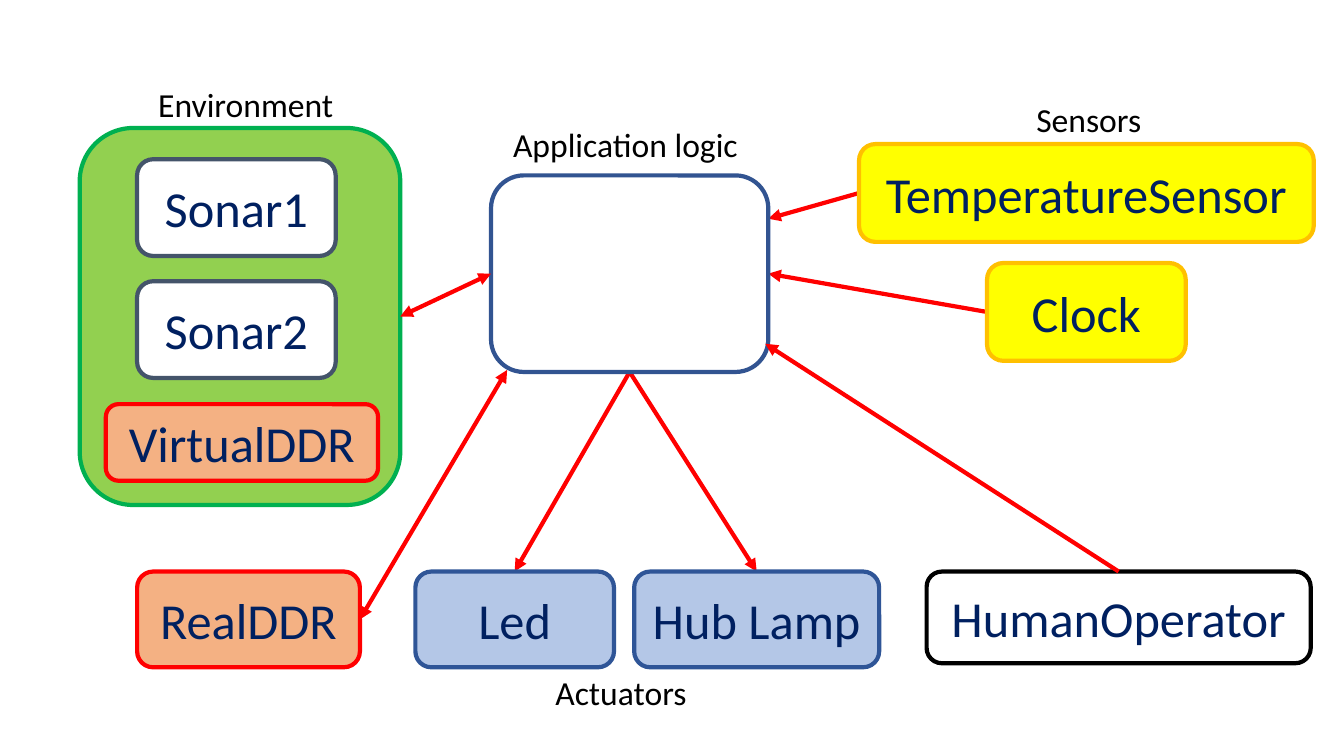
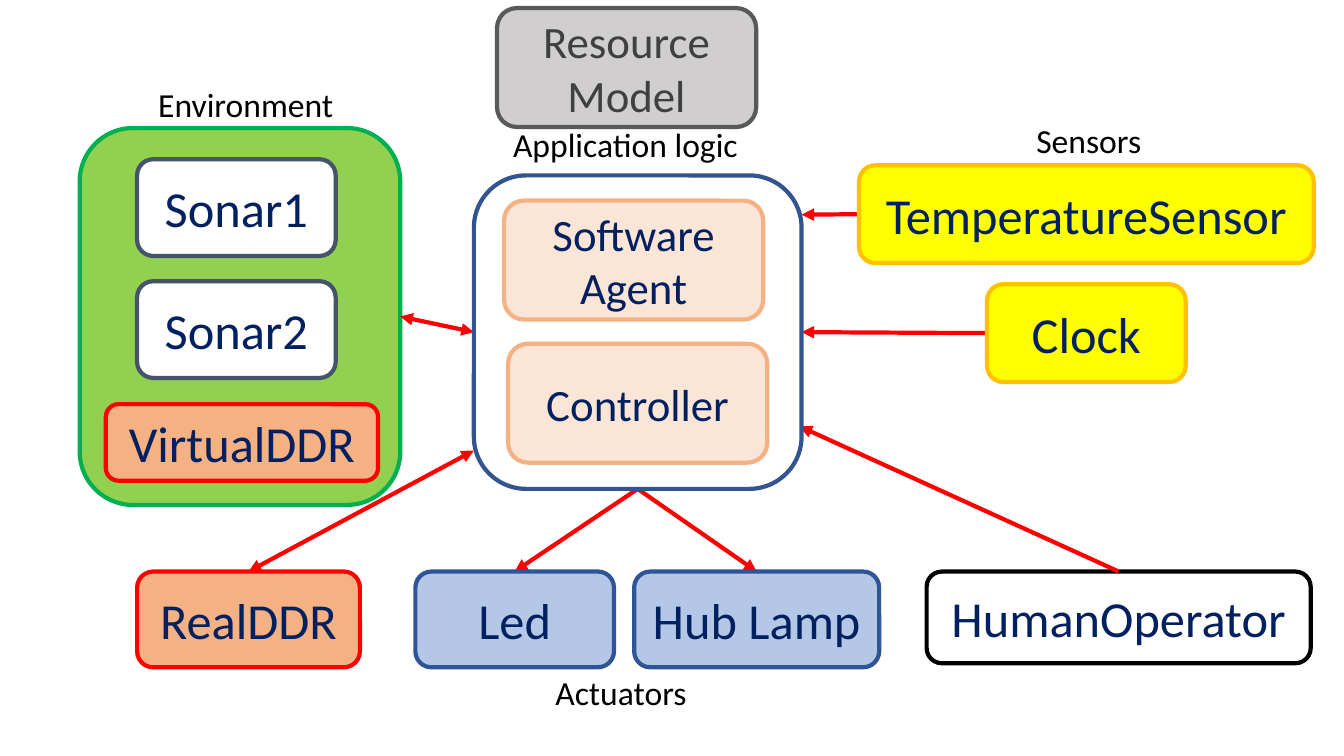
from dataclasses import dataclass

from lxml.etree import SubElement
from pptx import Presentation
from pptx.dml.color import RGBColor as Rgb
from pptx.enum.shapes import MSO_CONNECTOR as Connector, MSO_SHAPE as Preset
from pptx.enum.text import MSO_ANCHOR as Anchor, PP_ALIGN as Align
from pptx.oxml.ns import qn
from pptx.util import Inches, Pt


@dataclass(frozen=True)
class Theme:
    font: str = "Calibri"
    label_size: int = 24
    module_size: int = 32
    node_size: int = 36
    stroke: int = 3
    ink: str = "002060"
    label: str = "000000"
    arrow: str = "FF0000"
    # Each box style is fill, outline
    environment: tuple = ("92D050", "00B050")
    sonar: tuple = ("FFFFFF", "44546A")
    robot: tuple = ("F4B183", "FF0000")
    logic: tuple = ("FFFFFF", "325491")
    sensor: tuple = ("FFFF00", "FFC000")
    actuator: tuple = ("B4C7E7", "2F5597")
    operator: tuple = ("FFFFFF", "000000")
    software: tuple = ("FBE5D6", "F4B183")
    model: tuple = ("D0CECE", "595959")
    model_ink: str = "404040"


theme = Theme()
CELL = Inches(0.1)  # side of one square of the layout grid
TOP, LEFT, BOTTOM, RIGHT = range(4)  # connection sites of a box


def add_text(page, text, at, style=None, size=theme.node_size, color=theme.ink):
    """Add a rounded box if a style is given, else a plain label; at is in grid cells."""
    place = [round(cells * CELL) for cells in at]
    if style:
        box = page.shapes.add_shape(Preset.ROUNDED_RECTANGLE, *place)
        fill, outline = style
        box.shadow.inherit = False
        box.fill.solid()
        box.fill.fore_color.rgb = Rgb.from_string(fill)
        box.line.color.rgb = Rgb.from_string(outline)
        box.line.width = Pt(theme.stroke)
    else:
        box = page.shapes.add_textbox(*place)
    frame = box.text_frame
    frame.word_wrap = True
    frame.vertical_anchor = Anchor.MIDDLE if style else Anchor.TOP
    para = frame.paragraphs[0]
    para.alignment = Align.CENTER if style else Align.LEFT
    if text:
        span = para.add_run()
        span.text = text
        span.font.name = theme.font
        span.font.size = Pt(size)
        span.font.color.rgb = Rgb.from_string(color)
    return box


def add_arrow(page, boxes, start, end, both=False, below=None):
    """Join two ends, each a (box name, site) or a (column, row), optionally below a box."""
    arrow = page.shapes.add_connector(Connector.STRAIGHT, 0, 0, 0, 0)
    if start[0] in boxes:
        arrow.begin_connect(boxes[start[0]], start[1])
    else:
        arrow.begin_x, arrow.begin_y = [round(cells * CELL) for cells in start]
    if end[0] in boxes:
        arrow.end_connect(boxes[end[0]], end[1])
    else:
        arrow.end_x, arrow.end_y = [round(cells * CELL) for cells in end]
    arrow.line.color.rgb = Rgb.from_string(theme.arrow)
    arrow.line.width = Pt(theme.stroke)
    properties = arrow._element.spPr
    outline = properties.get_or_add_ln()
    if both:
        SubElement(outline, qn("a:headEnd"), type="triangle")
    SubElement(outline, qn("a:tailEnd"), type="triangle")
    SubElement(properties, qn("a:effectLst"))
    if below is not None:
        below._element.addprevious(arrow._element)


deck = Presentation()
deck.slide_width, deck.slide_height = Inches(13.33), Inches(7.5)
blank = deck.slide_layouts[6]

NODE_ROW, NODE_HEIGHT = 56.7, 9.5
SENSOR_HEIGHT, SENSOR_STEP = 9.7, 11.8
SONAR_ROW, SONAR_STEP = 15.8, 12.1

# Arrows are start, end, both heads, below the logic box
views = [
    dict(
        logic=(48.7, 17.4, 27.5, 19.5),
        sensor_row=14.3,
        modules=[],
        arrows=[
            (("TemperatureSensor", LEFT), (76.2, 21.7), False, True),
            (("HumanOperator", TOP), (75.9, 34.1), False, False),
            ((50.3, 36.7), ("RealDDR", RIGHT), True, False),
        ],
        arrows_below=False,
    ),
    dict(
        logic=(47, 17.4, 32.5, 31.1),
        sensor_row=16.4,
        modules=[
            ("Controller", (50.4, 34.1), theme.software, theme.ink),
            ("Software Agent", (50, 19.9), theme.software, theme.ink),
            ("Resource Model", (49.3, 0.8), theme.model, theme.model_ink),
        ],
        arrows=[
            (("TemperatureSensor", LEFT), (79.5, 21.3), False, True),
            (("HumanOperator", TOP), (79.3, 42.3), False, True),
            ((47, 44.7), ("RealDDR", TOP), True, True),
        ],
        arrows_below=True,
    ),
]

for view in views:
    page = deck.slides.add_slide(blank)
    sensor_row = view["sensor_row"]
    boxes = {"environment": add_text(page, "", (7.9, 12.7, 31.8, 37.4), theme.environment)}

    for index in range(2):
        row = SONAR_ROW + index * SONAR_STEP
        add_text(page, f"Sonar{index + 1}", (13.6, row, 19.7, 9.6), theme.sonar)

    nodes = [
        ("VirtualDDR", (10.5, 40.1, 27, 7.6), theme.robot),
        ("RealDDR", (13.6, NODE_ROW, 22.1, NODE_HEIGHT), theme.robot),
        ("HumanOperator", (91.9, NODE_ROW, 38.1, 9.1), theme.operator),
        ("", view["logic"], theme.logic),
        ("Led", (41.2, NODE_ROW, 19.7, NODE_HEIGHT), theme.actuator),
        ("Hub Lamp", (62.9, NODE_ROW, 24.3, NODE_HEIGHT), theme.actuator),
        ("TemperatureSensor", (85.2, sensor_row, 45.1, SENSOR_HEIGHT), theme.sensor),
        ("Clock", (97.9, sensor_row + SENSOR_STEP, 19.7, SENSOR_HEIGHT), theme.sensor),
    ]
    for name, at, style in nodes:
        boxes[name or "logic"] = add_text(page, name, at, style)

    labels = [
        ("Environment", (14.7, 7.8, 20, 5)),
        ("Application logic", (49.9, 11.8, 26.8, 5)),
        ("Sensors", (101.8, sensor_row - 5, 13, 5)),
        ("Actuators", (54.1, 66.2, 16, 5)),
    ]
    for label, at in labels:
        add_text(page, label, at, size=theme.label_size, color=theme.label)

    for name, corner, style, ink in view["modules"]:
        add_text(page, name, (*corner, 25.7, 11.8), style, theme.module_size, ink)

    shared_arrows = [
        (("Clock", LEFT), ("logic", RIGHT), False, True),
        (("logic", BOTTOM), ("Led", TOP), False, True),
        (("logic", BOTTOM), ("Hub Lamp", TOP), False, True),
        (("logic", LEFT), ("environment", RIGHT), True, view["arrows_below"]),
    ]
    for start, end, both, below in shared_arrows + view["arrows"]:
        add_arrow(page, boxes, start, end, both, boxes["logic"] if below else None)

deck.save("out.pptx")
